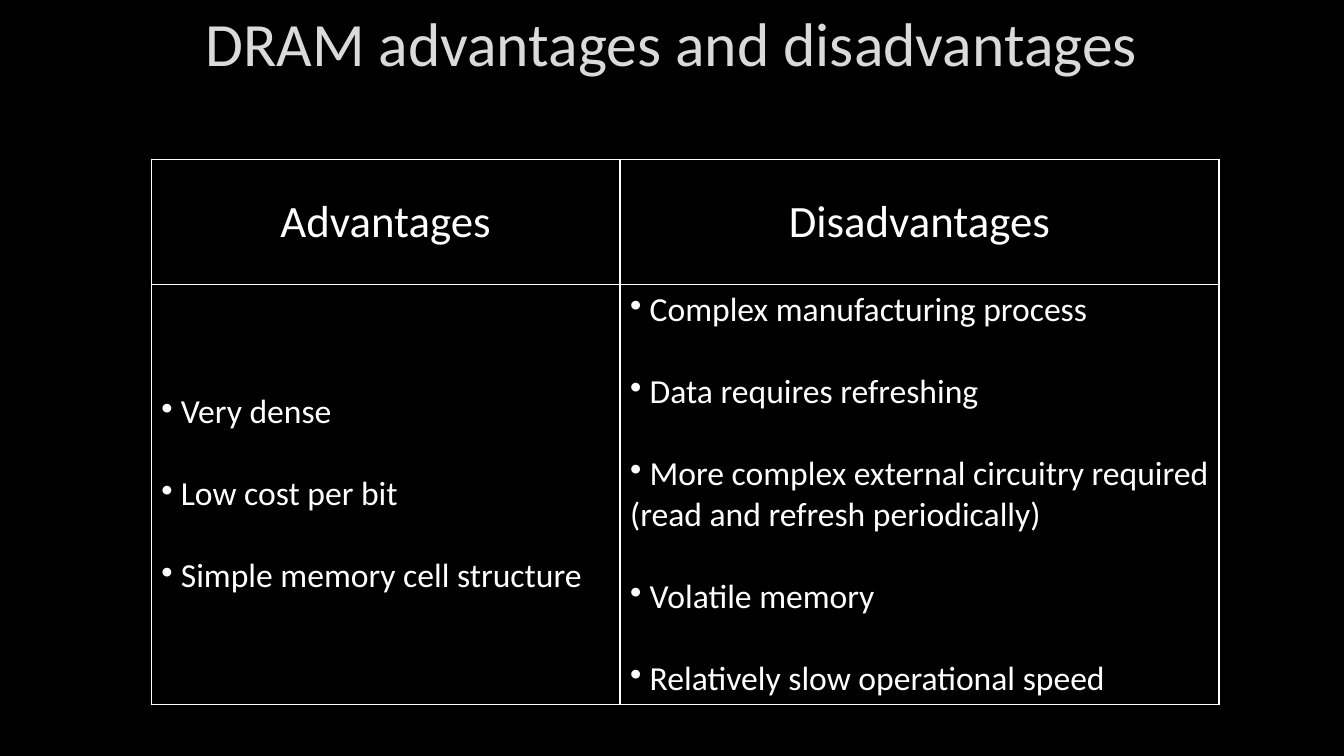
from lxml import etree
from pptx import Presentation
from pptx.dml.color import RGBColor
from pptx.enum import text
from pptx.oxml import ns
from pptx.util import Inches, Pt

BLACK, WHITE, SILVER = "000000", "FFFFFF", "DADADA"
LEFT, TABLE_TOP = 1.5, 1.58
COLUMN_WIDTHS = [4.65, 5.94]
ROW_HEIGHTS = [1.24, 4.17]
BULLET_GAP = 29.3  # one line of 24 pt text

CONTENT = {
    "Advantages": ["Very dense", "Low cost per bit", "Simple memory cell structure"],
    "Disadvantages": [
        "Complex manufacturing process",
        "Data requires refreshing",
        "More complex external circuitry required (read and refresh periodically)",
        "Volatile memory",
        "Relatively slow operational speed",
    ],
}


def color(value):
    return RGBColor.from_string(value)


def write(frame, lines, size, ink=WHITE, align=text.PP_ALIGN.LEFT, bullet=None, gap=0):
    for index, line in enumerate(lines):
        para = frame.paragraphs[0] if index == 0 else frame.add_paragraph()
        para.alignment = align
        para.space_before = Pt(gap if index else 0)
        if bullet:
            props = para._p.get_or_add_pPr()
            props.set("marL", "0")
            props.set("indent", "0")
            etree.SubElement(props, ns.qn("a:buChar"), char=bullet)
            line = " " + line
        span = para.add_run()
        span.text = line
        span.font.name = "Calibri"
        span.font.size = Pt(size)
        span.font.bold = False
        span.font.color.rgb = color(ink)


# Page
deck = Presentation()
deck.slide_width, deck.slide_height = Inches(13.33), Inches(7.5)
page = deck.slides.add_slide(deck.slide_layouts[6])
page.background.fill.solid()
page.background.fill.fore_color.rgb = color(BLACK)

# Title
title = page.shapes.add_textbox(Inches(LEFT), 0, Inches(10.32), Inches(1.5)).text_frame
title.word_wrap = True
write(title, ["DRAM advantages and disadvantages"], 44, SILVER, text.PP_ALIGN.CENTER)

# Table grid
table = page.shapes.add_table(
    len(ROW_HEIGHTS), len(COLUMN_WIDTHS), Inches(LEFT), Inches(TABLE_TOP),
    Inches(sum(COLUMN_WIDTHS)), Inches(sum(ROW_HEIGHTS))).table
table.first_row = table.horz_banding = False
for column, width in zip(table.columns, COLUMN_WIDTHS):
    column.width = Inches(width)
for row, height in zip(table.rows, ROW_HEIGHTS):
    row.height = Inches(height)

# Cell text
for column, (heading, points) in enumerate(CONTENT.items()):
    write(table.cell(0, column).text_frame, [heading], 32, align=text.PP_ALIGN.CENTER)
    write(table.cell(1, column).text_frame, points, 24, bullet="•", gap=BULLET_GAP)

# Cell fill and borders
for cell in table.iter_cells():
    cell.vertical_anchor = text.MSO_ANCHOR.MIDDLE
    cell.fill.solid()
    cell.fill.fore_color.rgb = color(BLACK)
    props = cell._tc.get_or_add_tcPr()
    for place, side in enumerate(["lnL", "lnR", "lnT", "lnB"]):
        border = etree.Element(ns.qn("a:" + side), w=str(Pt(1)))
        fill = etree.SubElement(border, ns.qn("a:solidFill"))
        etree.SubElement(fill, ns.qn("a:srgbClr"), val=WHITE)
        props.insert(place, border)

deck.save("out.pptx")
